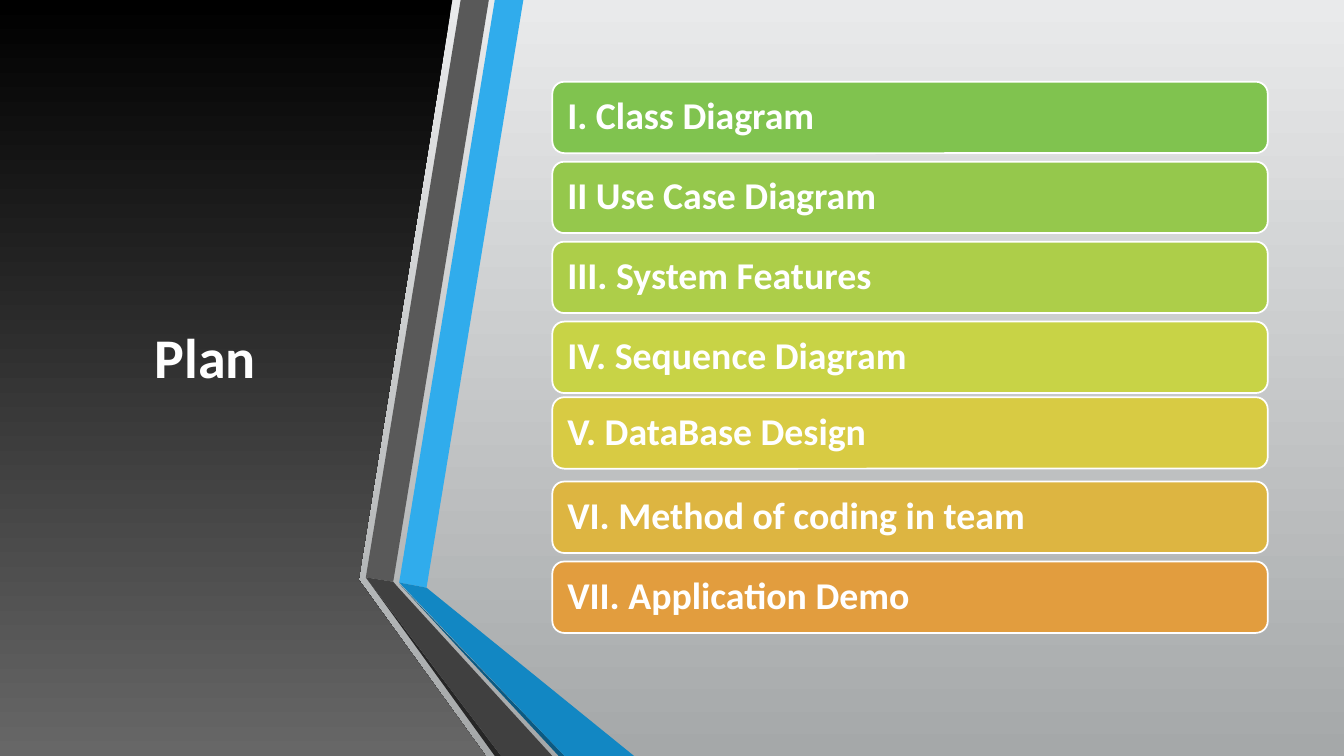
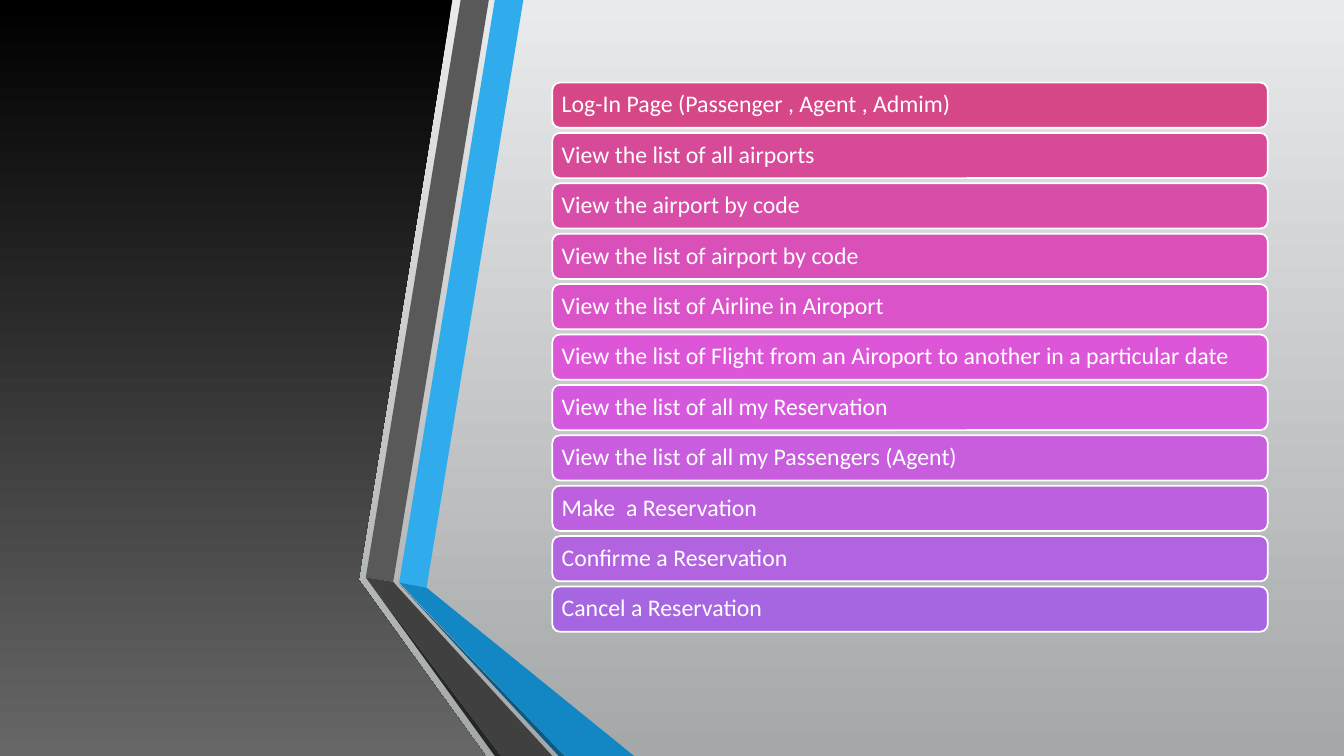
from pptx import Presentation
from pptx.dml.color import RGBColor
from pptx.enum.shapes import MSO_SHAPE as SHAPE
from pptx.enum.text import MSO_ANCHOR as ANCHOR, PP_ALIGN as ALIGN
from pptx.util import Cm, Pt

W, H = 33.87, 19.05
FONT = "Calibri"
WHITE = "FFFFFF"
BACKDROP = ("E9EAEB", "A5A8A9")
PANEL = ("000000", "676767")
PANEL_OUTLINE = [(0, 0), (11.4, 0), (9.04, 14.61), (12.24, H), (0, H)]
BAND_LEFT = 9.22
# Colour and outline of each face of the folded band, from its left edge
BAND_FACES = [
    ("30ACEC", [(0.84, 14.68), (1.53, 14.81), (3.97, 0), (3.25, 0)]),
    ("595959", [(3.1, 0), (2.39, 0), (0, 14.55), (0.69, 14.66)]),
    ("262626", [(0, 14.55), (3.25, H), (3.41, H)]),
    ("0C5A82", [(0.84, 14.71), (4.86, H), (5.01, H)]),
    ("1287C3", [(0.84, 14.68), (5.01, H), (6.76, H), (1.53, 14.81)]),
    ("404040", [(4.7, H), (0.82, 14.81), (0.69, 14.66), (0, 14.55), (3.41, H)]),
]
TITLE_BOX = (1.5, 1.9, 7.34, 14.17)

PLAN_BOX = (13.92, 2.06, 18.03, 13.89)
PLAN = [
    ("I. Class Diagram", "80C34F"),
    ("II Use Case Diagram", "95C84C"),
    ("III. System Features", "ADCE49"),
    ("IV. Sequence Diagram", "C8D346"),
    ("V. DataBase Design", "D8CB43"),
    ("VI. Method of coding in team", "DDB541"),
    ("VII. Application Demo", "E29D3E"),
]
PLAN_STYLE = dict(bar=1.8, inset=0.29, size=27, bold=True, shifts={4: -0.11})

FEATURES_BOX = (13.92, 2.08, 18.03, 13.84)
FEATURES = [
    ("Log-In Page (Passenger , Agent , Admim)", "D64787"),
    ("View the list of all airports", "D74A98"),
    ("View the airport by code", "D84DA8"),
    ("View the list of airport by code", "D950B8"),
    ("View the list of Airline in Airoport", "DB53C8"),
    ("View the list of Flight from an Airoport to another in a particular date", "DC56D7"),
    ("View the list of all my Reservation", "D459DD"),
    ("View the list of all my Passengers (Agent)", "C85DDE"),
    ("Make  a Reservation", "BC60DF"),
    ("Confirme a Reservation", "B163E0"),
    ("Cancel a Reservation", "A666E1"),
]
FEATURES_STYLE = dict(bar=1.14, inset=0.18, size=17)


def rgb(value):
    return RGBColor.from_string(value)


def set_attrs(obj, values):
    for name, value in values.items():
        setattr(obj, name, value)


def paint(fill, colour):
    """Fill with one hex colour, or with a (top, bottom) gradient."""
    if isinstance(colour, str):
        fill.solid()
        fill.fore_color.rgb = rgb(colour)
        return
    fill.gradient()
    fill.gradient_angle = 270
    for position, (stop, value) in enumerate(zip(fill.gradient_stops, colour)):
        set_attrs(stop, dict(position=position))
        stop.color.rgb = rgb(value)


def write(sp, text, size, bold=False, align=ALIGN.LEFT, inset=0.25, spacing=1.0):
    tf = sp.text_frame
    margin = Cm(inset)
    set_attrs(tf, dict(word_wrap=True, vertical_anchor=ANCHOR.MIDDLE,
                       margin_left=margin, margin_right=margin,
                       margin_top=margin, margin_bottom=margin))
    p = tf.paragraphs[0]
    set_attrs(p, dict(alignment=align, line_spacing=spacing))
    r = p.add_run()
    r.text = text
    set_attrs(r.font, dict(name=FONT, size=Pt(size), bold=bold))
    r.font.color.rgb = rgb(WHITE)


def add_outline(s, points, colour, left=0):
    start, *rest = [(Cm(left + x), Cm(y)) for x, y in points]
    builder = s.shapes.build_freeform(*start)
    builder.add_line_segments(rest, close=True)
    sp = builder.convert_to_shape()
    sp.shadow.inherit = False
    sp.line.fill.background()
    paint(sp.fill, colour)


def add_base_slide(prs, title=None):
    """Add a slide with the dark panel, the folded band and a panel title."""
    s = prs.slides.add_slide(prs.slide_layouts[6])
    paint(s.background.fill, BACKDROP)
    add_outline(s, PANEL_OUTLINE, PANEL)
    for colour, points in BAND_FACES:
        add_outline(s, points, colour, BAND_LEFT)
    if title:
        sp = s.shapes.add_textbox(*map(Cm, TITLE_BOX))
        write(sp, title, 40, bold=True, align=ALIGN.CENTER)
    return s


def add_bars(s, box, items, bar, inset, size, bold=False, shifts=None):
    """Spread bars evenly over the box; shifts moves single bars by index."""
    left, top, width, height = box
    pitch = (height - bar) / (len(items) - 1)
    for i, (text, colour) in enumerate(items):
        y = top + i * pitch + (shifts or {}).get(i, 0)
        sp = s.shapes.add_shape(SHAPE.ROUNDED_RECTANGLE,
                                Cm(left), Cm(y), Cm(width), Cm(bar))
        sp.shadow.inherit = False
        paint(sp.fill, colour)
        paint(sp.line.fill, WHITE)
        sp.line.width = Pt(1.25)
        write(sp, text, size, bold, inset=inset, spacing=0.9)


def main():
    prs = Presentation()
    set_attrs(prs, dict(slide_width=Cm(W), slide_height=Cm(H)))
    add_bars(add_base_slide(prs, "Plan"), PLAN_BOX, PLAN, **PLAN_STYLE)
    add_bars(add_base_slide(prs), FEATURES_BOX, FEATURES, **FEATURES_STYLE)
    prs.save("out.pptx")


if __name__ == "__main__":
    main()
